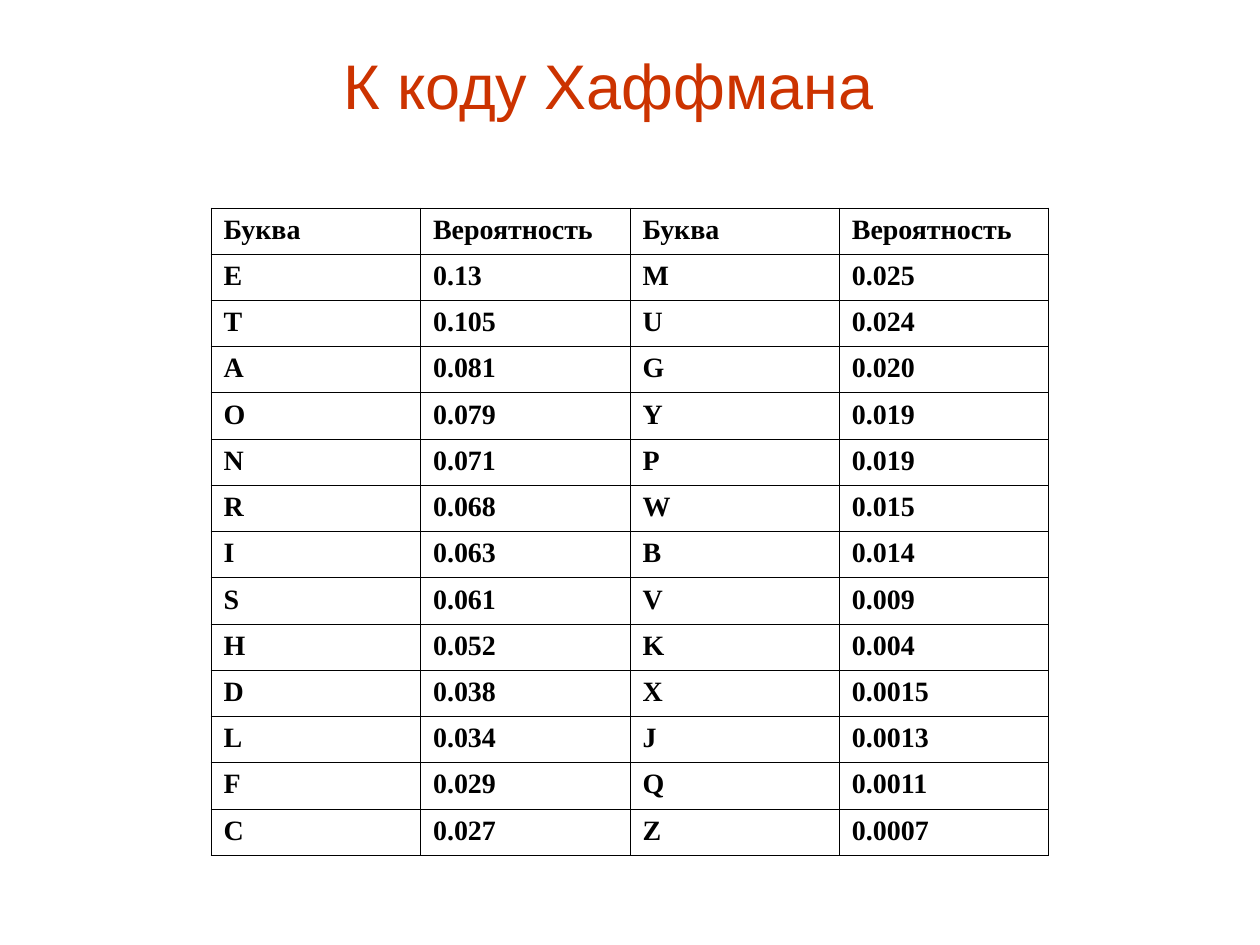
import pptx
import pptx.util
import pptx.dml.color
import pptx.enum.text
import lxml.etree


def color(hex_code):
    return pptx.dml.color.RGBColor.from_string(hex_code)


def style(paragraph, font_name, size, hex_code, bold):
    for run in paragraph.runs:
        run.font.name = font_name
        run.font.size = pptx.util.Pt(size)
        run.font.bold = bold
        run.font.color.rgb = color(hex_code)


deck = pptx.Presentation()
deck.slide_width = pptx.util.Inches(10)
deck.slide_height = pptx.util.Inches(7.5)
slide = deck.slides.add_slide(deck.slide_layouts[6])

heading = slide.shapes.add_textbox(
    pptx.util.Inches(0.58), pptx.util.Inches(0.17), pptx.util.Inches(8.5), pptx.util.Inches(1)
).text_frame
heading.word_wrap = True
heading.vertical_anchor = pptx.enum.text.MSO_ANCHOR.MIDDLE
heading.text = "К коду Хаффмана"
heading.paragraphs[0].alignment = pptx.enum.text.PP_ALIGN.CENTER
style(heading.paragraphs[0], "Arial", 36, "CC3300", False)

letters = "ETAONRISHDLFCMUGYPWBVKXJQZ"
probabilities = (
    "0.13 0.105 0.081 0.079 0.071 0.068 0.063 0.061 0.052 0.038 0.034 0.029 0.027 "
    "0.025 0.024 0.020 0.019 0.019 0.015 0.014 0.009 0.004 0.0015 0.0013 0.0011 0.0007"
).split()
frequencies = list(zip(letters, probabilities))
half = len(frequencies) // 2
rows = [("Буква", "Вероятность") * 2]
rows += [left + right for left, right in zip(frequencies[:half], frequencies[half:])]

table_width = pptx.util.Inches(6.65)
table_height = pptx.util.Inches(5.13)
frequency_table = slide.shapes.add_table(
    len(rows), len(rows[0]), (deck.slide_width - table_width) // 2, pptx.util.Inches(1.65),
    table_width, table_height
).table
frequency_table.first_row = False
frequency_table.horz_banding = False

namespace = "http://schemas.openxmlformats.org/drawingml/2006/main"
border_width = str(pptx.util.Pt(0.45))
for row_index, row in enumerate(rows):
    for column_index, entry in enumerate(row):
        cell = frequency_table.cell(row_index, column_index)
        cell.text_frame.text = entry
        style(cell.text_frame.paragraphs[0], "Times New Roman", 16, "000000", True)
        properties = cell._tc.get_or_add_tcPr()
        for side in ("lnL", "lnR", "lnT", "lnB"):
            border = lxml.etree.SubElement(properties, f"{{{namespace}}}{side}", w=border_width)
            ink = lxml.etree.SubElement(border, f"{{{namespace}}}solidFill")
            lxml.etree.SubElement(ink, f"{{{namespace}}}srgbClr", val="000000")
        cell.fill.background()

deck.save("out.pptx")
